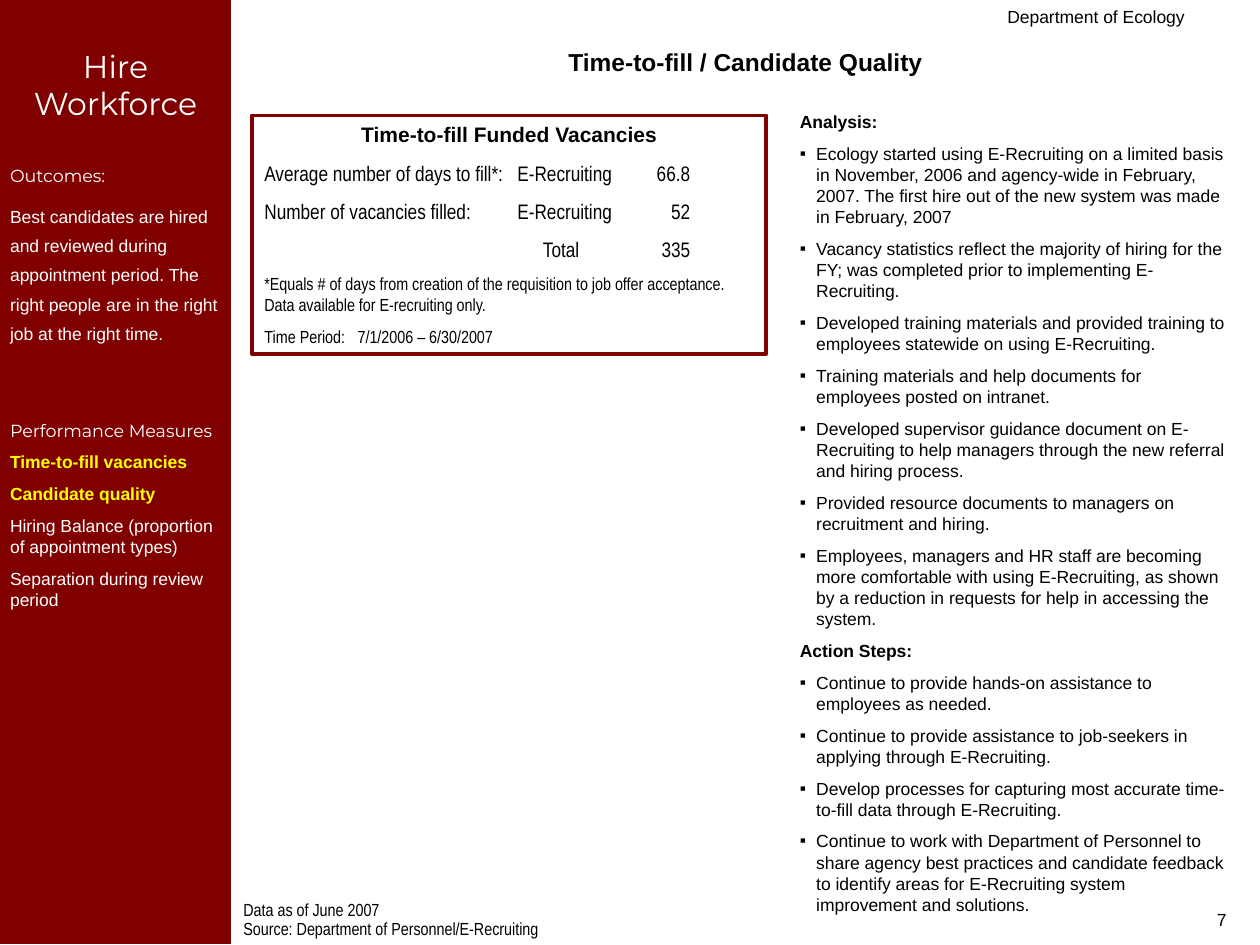
from dataclasses import dataclass
from lxml.etree import SubElement
from pptx import Presentation
from pptx.dml.color import RGBColor
from pptx.enum.shapes import MSO_SHAPE
from pptx.enum.text import MSO_ANCHOR, PP_ALIGN
from pptx.oxml.ns import qn
from pptx.util import Inches, Pt

MAROON = RGBColor(0x80, 0x00, 0x00)
YELLOW = RGBColor(0xFF, 0xFF, 0x00)
WHITE = RGBColor(0xFF, 0xFF, 0xFF)
BLACK = RGBColor(0x00, 0x00, 0x00)
BODY, HEADING, NARROW = "Arial", "Montserrat", "Arial Narrow"
COLUMNS, ROWS = 120, 90


@dataclass
class Line:
    text: str
    size: float = 10
    font: str = BODY
    color: RGBColor = BLACK
    bold: bool = False
    align: PP_ALIGN = PP_ALIGN.LEFT
    before: float = 6.2
    spacing: float = 1.0
    bullet: bool = False
    tabs: tuple = ()


class Page:
    def __init__(self, deck):
        self.slide = deck.slides.add_slide(deck.slide_layouts[6])
        self.column = deck.slide_width / COLUMNS
        self.row = deck.slide_height / ROWS

    def area(self, left, top, width, height):
        return (round(left * self.column), round(top * self.row),
                round(width * self.column), round(height * self.row))

    def text(self, grid, lines):
        box = self.slide.shapes.add_textbox(*self.area(*grid))
        self.fill_lines(box.text_frame, lines, 0.1, 0.05)

    def panel(self, grid, lines, fill=None, outline=None, side=0.1, top=0.05):
        box = self.slide.shapes.add_shape(MSO_SHAPE.RECTANGLE, *self.area(*grid))
        box.shadow.inherit = False
        if fill is None:
            box.fill.background()
        else:
            box.fill.solid()
            box.fill.fore_color.rgb = fill
        if outline is None:
            box.line.fill.background()
        else:
            box.line.color.rgb = outline
            box.line.width = Pt(2.25)
        self.fill_lines(box.text_frame, lines, side, top)

    def fill_lines(self, frame, lines, side, top):
        frame.word_wrap = True
        frame.vertical_anchor = MSO_ANCHOR.TOP
        frame.margin_left = frame.margin_right = Inches(side)
        frame.margin_top, frame.margin_bottom = Inches(top), Inches(0.05)
        for index, line in enumerate(lines):
            paragraph = frame.add_paragraph() if index else frame.paragraphs[0]
            paragraph.text = line.text
            paragraph.alignment = line.align
            paragraph.line_spacing = line.spacing
            if index:
                paragraph.space_before = Pt(line.before)
            self.indent(paragraph, line)
            for run in paragraph.runs:
                run.font.size = Pt(line.size)
                run.font.name = line.font
                run.font.bold = line.bold
                run.font.color.rgb = line.color

    def indent(self, paragraph, line):
        properties = paragraph._p.get_or_add_pPr()
        if line.bullet:
            hang = Inches(0.13)
            properties.set("marL", str(hang))
            properties.set("indent", str(-hang))
            SubElement(properties, qn("a:buFont"), typeface=BODY)
            SubElement(properties, qn("a:buChar"), char="▪")
        if line.tabs:
            stops = SubElement(properties, qn("a:tabLst"))
            for position, side in line.tabs:
                SubElement(stops, qn("a:tab"), pos=str(Inches(position)), algn=side)


def sidebar_lines():
    measures = [("Time-to-fill vacancies", True), ("Candidate quality", True),
                ("Hiring Balance (proportion of appointment types)", False),
                ("Separation during review period", False)]
    return [
        Line("Hire Workforce", 18, HEADING, WHITE, align=PP_ALIGN.CENTER),
        Line("Outcomes:", font=HEADING, color=WHITE, before=24.6),
        Line("Best candidates are hired and reviewed during appointment period. "
             "The right people are in the right job at the right time.",
             color=WHITE, spacing=1.4),
        Line("Performance Measures", font=HEADING, color=WHITE, before=43),
    ] + [Line(measure, color=YELLOW if current else WHITE, bold=current)
         for measure, current in measures]


def vacancy_lines():
    figures = [("Average number of days to fill*:\tE-Recruiting\t66.8", 2.76),
               ("Number of vacancies filled:\tE-Recruiting\t52", 2.76),
               ("\tTotal\t335", 2.5)]
    return [
        Line("Time-to-fill Funded Vacancies", 12, bold=True, align=PP_ALIGN.CENTER),
        *[Line(figure, 12, NARROW, before=7.5, tabs=((stop, "r"), (3.38, "r")))
          for figure, stop in figures],
        Line("*Equals # of days from creation of the requisition to job offer "
             "acceptance. Data available for E-recruiting only.", font=NARROW),
        Line("Time Period:\t7/1/2006 – 6/30/2007", font=NARROW, tabs=((0.74, "l"),)),
    ]


def commentary_lines():
    sections = {
        "Analysis:": [
            "Ecology started using E-Recruiting on a limited basis in November, 2006 and "
            "agency-wide in February, 2007. The first hire out of the new system was made "
            "in February, 2007",
            "Vacancy statistics reflect the majority of hiring for the FY; was completed "
            "prior to implementing E-Recruiting.",
            "Developed training materials and provided training to employees statewide on "
            "using E-Recruiting.",
            "Training materials and help documents for employees posted on intranet.",
            "Developed supervisor guidance document on E-Recruiting to help managers "
            "through the new referral and hiring process.",
            "Provided resource documents to managers on recruitment and hiring.",
            "Employees, managers and HR staff are becoming more comfortable with using "
            "E-Recruiting, as shown by a reduction in requests for help in accessing the "
            "system.",
        ],
        "Action Steps:": [
            "Continue to provide hands-on assistance to employees as needed.",
            "Continue to provide assistance to job-seekers in applying through "
            "E-Recruiting.",
            "Develop processes for capturing most accurate time-to-fill data through "
            "E-Recruiting.",
            "Continue to work with Department of Personnel to share agency best practices "
            "and candidate feedback to identify areas for E-Recruiting system improvement "
            "and solutions.",
        ],
    }
    lines = []
    for heading, points in sections.items():
        lines.append(Line(heading, bold=True))
        lines += [Line(point, bullet=True) for point in points]
    return lines


def main():
    deck = Presentation()
    deck.slide_width, deck.slide_height = Inches(10), Inches(7.5)
    page = Page(deck)
    page.text((54, 0, 60, 3), [Line("Department of Ecology", align=PP_ALIGN.RIGHT)])
    page.text((90, 86, 28, 4), [Line("7", align=PP_ALIGN.RIGHT)])
    page.panel((0, 0, 22, 89.9), sidebar_lines(), fill=MAROON, side=0.08, top=0.37)
    page.text((75, 10, 43, 79), commentary_lines())
    footnotes = ["Data as of June 2007", "Source: Department of Personnel/E-Recruiting"]
    page.text((22, 85.6, 58, 4.4),
              [Line(note, font=NARROW, before=2.5, spacing=0.7) for note in footnotes])
    page.panel((24, 11, 49, 22.7), vacancy_lines(), outline=MAROON)
    page.text((22, 3.85, 98, 4.1), [Line("Time-to-fill / Candidate Quality", 14, bold=True,
                                         align=PP_ALIGN.CENTER)])
    deck.save("out.pptx")


if __name__ == "__main__":
    main()
